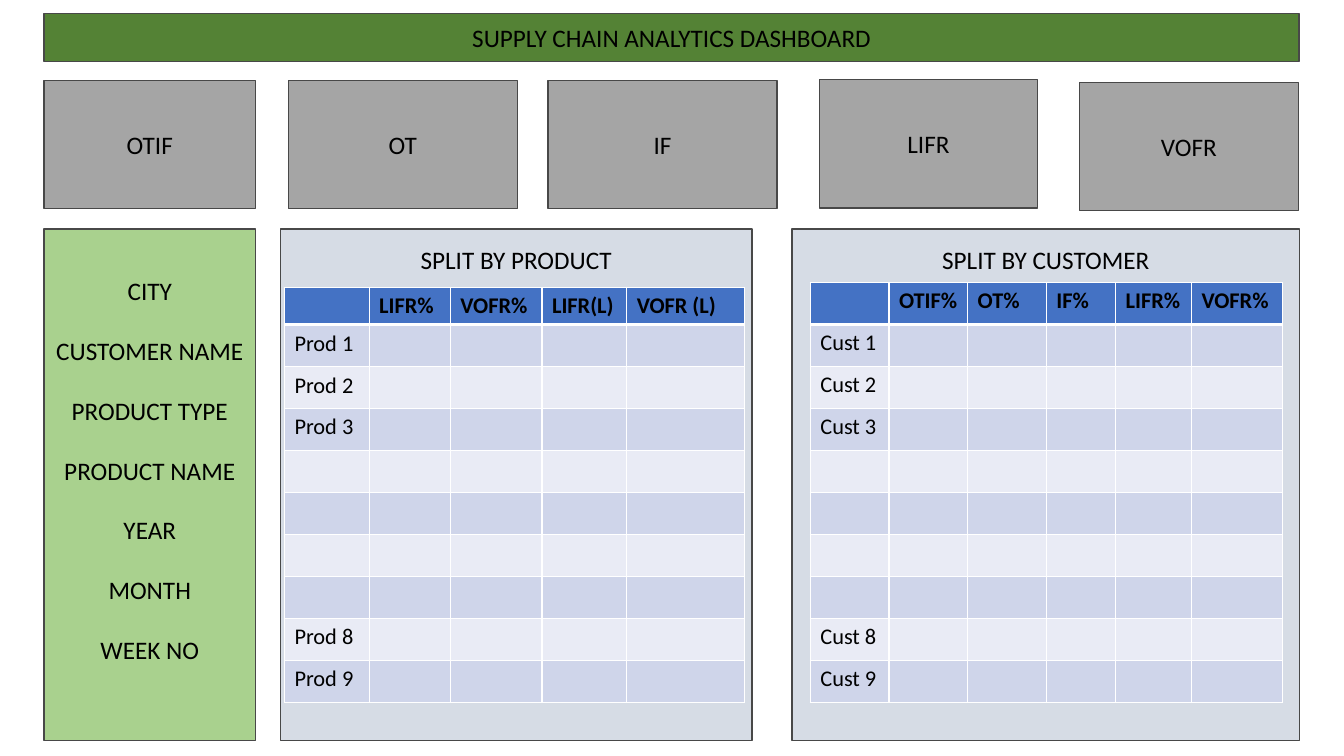
from lxml import etree
from pptx import Presentation
from pptx.dml.color import RGBColor
from pptx.enum.shapes import MSO_SHAPE
from pptx.enum.text import MSO_ANCHOR, MSO_AUTO_SIZE, PP_ALIGN
from pptx.oxml.ns import qn
from pptx.util import Pt

RECTANGLE = MSO_SHAPE.RECTANGLE
TOP, MIDDLE = MSO_ANCHOR.TOP, MSO_ANCHOR.MIDDLE
CENTER, LEFT = PP_ALIGN.CENTER, PP_ALIGN.LEFT
NO_AUTOFIT = MSO_AUTO_SIZE.NONE

FONT = "Calibri"
BLACK, WHITE, OUTLINE = "000000", "FFFFFF", "484848"
BANNER_GREEN, FILTER_GREEN = "548235", "A9D18E"
CARD_GRAY, PANEL_GRAY = "A5A5A5", "D6DCE5"
HEADER_BLUE, BANDS = "4472C4", ("CFD5EA", "E9EBF5")

TITLE = "SUPPLY CHAIN ANALYTICS DASHBOARD"
FILTERS = ["CITY", "CUSTOMER NAME", "PRODUCT TYPE", "PRODUCT NAME",
           "YEAR", "MONTH", "WEEK NO"]
# name, left, top, width
CARDS = [
    ("OTIF", 31.5, 57.5, 151),
    ("OT", 206, 57.5, 163.5),
    ("IF", 391.5, 57.5, 163.5),
    ("LIFR", 585.5, 57, 155.5),
    ("VOFR", 771, 59, 156.5),
]
PANELS = [
    {"heading": "SPLIT BY PRODUCT", "left": 200.2, "width": 337,
     "table_left": 203.2, "header_height": 26.7, "prefix": "Prod",
     "columns": [("", 60.5), ("LIFR%", 58), ("VOFR%", 65.5),
                 ("LIFR(L)", 60.5), ("VOFR (L)", 84)]},
    {"heading": "SPLIT BY CUSTOMER", "left": 565.8, "width": 362.4,
     "table_left": 578.8, "header_height": 30, "prefix": "Cust",
     "columns": [("", 56.2), ("OTIF%", 56.2), ("OT%", 56.2), ("IF%", 49.5),
                 ("LIFR%", 54.3), ("VOFR%", 65)]},
]
ROW_COUNT = 9
LABELED_ROWS = (1, 2, 3, 8, 9)

MARGIN, CONTENT_WIDTH, FILTER_WIDTH = 31.5, 896.5, 151
CARD_HEIGHT = 91.5
PANEL_TOP, PANEL_HEIGHT = 163.5, 365.5
BODY_ROWS_TOP, ROW_HEIGHT = 231.8, 30


def color(value):
    return RGBColor.from_string(value)


def format_paragraph(paragraph, size, alignment, bold=False):
    paragraph.alignment = alignment
    for run in paragraph.runs:
        run.font.name = FONT
        run.font.size = Pt(size)
        run.font.bold = bold
        run.font.color.rgb = color(BLACK)


def style_box(shape, box, fill, lines, anchor=MIDDLE, top_inset=3.6, gap=0):
    """Place an outlined box and fill it with centred lines of text."""
    shape.left, shape.top, shape.width, shape.height = map(Pt, box)
    shape.shadow.inherit = False
    shape.fill.solid()
    shape.fill.fore_color.rgb = color(fill)
    shape.line.color.rgb = color(OUTLINE)
    shape.line.width = Pt(1)
    frame = shape.text_frame
    frame.text = "\n".join(lines)
    frame.word_wrap = True
    frame.auto_size = NO_AUTOFIT
    frame.vertical_anchor = anchor
    frame.margin_top = Pt(top_inset)
    for paragraph in frame.paragraphs:
        format_paragraph(paragraph, 18, CENTER)
        paragraph.line_spacing = 1.0
        paragraph.space_before = Pt(0)
        paragraph.space_after = Pt(gap)


def add_box(slide, *args, **options):
    shape = slide.shapes.add_shape(RECTANGLE, 0, 0, 0, 0)
    style_box(shape, *args, **options)


def remove_bullets(shape):
    for paragraph in shape.text_frame.paragraphs:
        properties = paragraph._p.get_or_add_pPr()
        properties.set("marL", "0")
        properties.set("indent", "0")
        etree.SubElement(properties, qn("a:buNone"))


def set_borders(cell, row):
    """Draw white edges, with a heavier one under the header row."""
    properties = cell._tc.get_or_add_tcPr()
    widths = {"lnL": 1, "lnR": 1, "lnT": 3 if row == 1 else 1,
              "lnB": 3 if row == 0 else 1}
    for edge, width in widths.items():
        line = etree.SubElement(properties, qn(f"a:{edge}"), w=str(Pt(width)))
        fill = etree.SubElement(line, qn("a:solidFill"))
        etree.SubElement(fill, qn("a:srgbClr"), val=WHITE)


def cell_text(panel, row, column):
    if row == 0:
        return panel["columns"][column][0]
    if column == 0 and row in LABELED_ROWS:
        return f"{panel['prefix']} {row}"
    return ""


def add_split_table(slide, panel):
    columns, header_height = panel["columns"], panel["header_height"]
    table = slide.shapes.add_table(
        ROW_COUNT + 1, len(columns),
        Pt(panel["table_left"]), Pt(BODY_ROWS_TOP - header_height),
        Pt(sum(width for _, width in columns)),
        Pt(header_height + ROW_COUNT * ROW_HEIGHT)).table
    for index, (_, width) in enumerate(columns):
        table.columns[index].width = Pt(width)
    for row in range(ROW_COUNT + 1):
        table.rows[row].height = Pt(ROW_HEIGHT if row else header_height)
        for column in range(len(columns)):
            cell = table.cell(row, column)
            set_borders(cell, row)
            cell.fill.solid()
            cell.fill.fore_color.rgb = color(
                BANDS[(row - 1) % 2] if row else HEADER_BLUE)
            text = cell_text(panel, row, column)
            if text:
                cell.text = text
                format_paragraph(cell.text_frame.paragraphs[0], 16, LEFT,
                                 bold=row == 0)
            else:
                cell.margin_top = cell.margin_bottom = 0


def main():
    presentation = Presentation()
    presentation.slide_width, presentation.slide_height = Pt(960), Pt(540)
    slide = presentation.slides.add_slide(presentation.slide_layouts[1])

    style_box(slide.shapes.title, (MARGIN, 9.5, CONTENT_WIDTH, 34.5),
              BANNER_GREEN, [TITLE])
    filters = slide.placeholders[1]
    style_box(filters, (MARGIN, PANEL_TOP, FILTER_WIDTH, PANEL_HEIGHT),
              FILTER_GREEN, FILTERS, anchor=TOP, top_inset=33, gap=21.2)
    remove_bullets(filters)

    for name, left, top, width in CARDS:
        add_box(slide, (left, top, width, CARD_HEIGHT), CARD_GRAY, [name])
    for panel in PANELS:
        add_box(slide, (panel["left"], PANEL_TOP, panel["width"], PANEL_HEIGHT),
                PANEL_GRAY, [panel["heading"]], anchor=TOP, top_inset=11.3)
        add_split_table(slide, panel)

    presentation.save("out.pptx")


if __name__ == "__main__":
    main()
